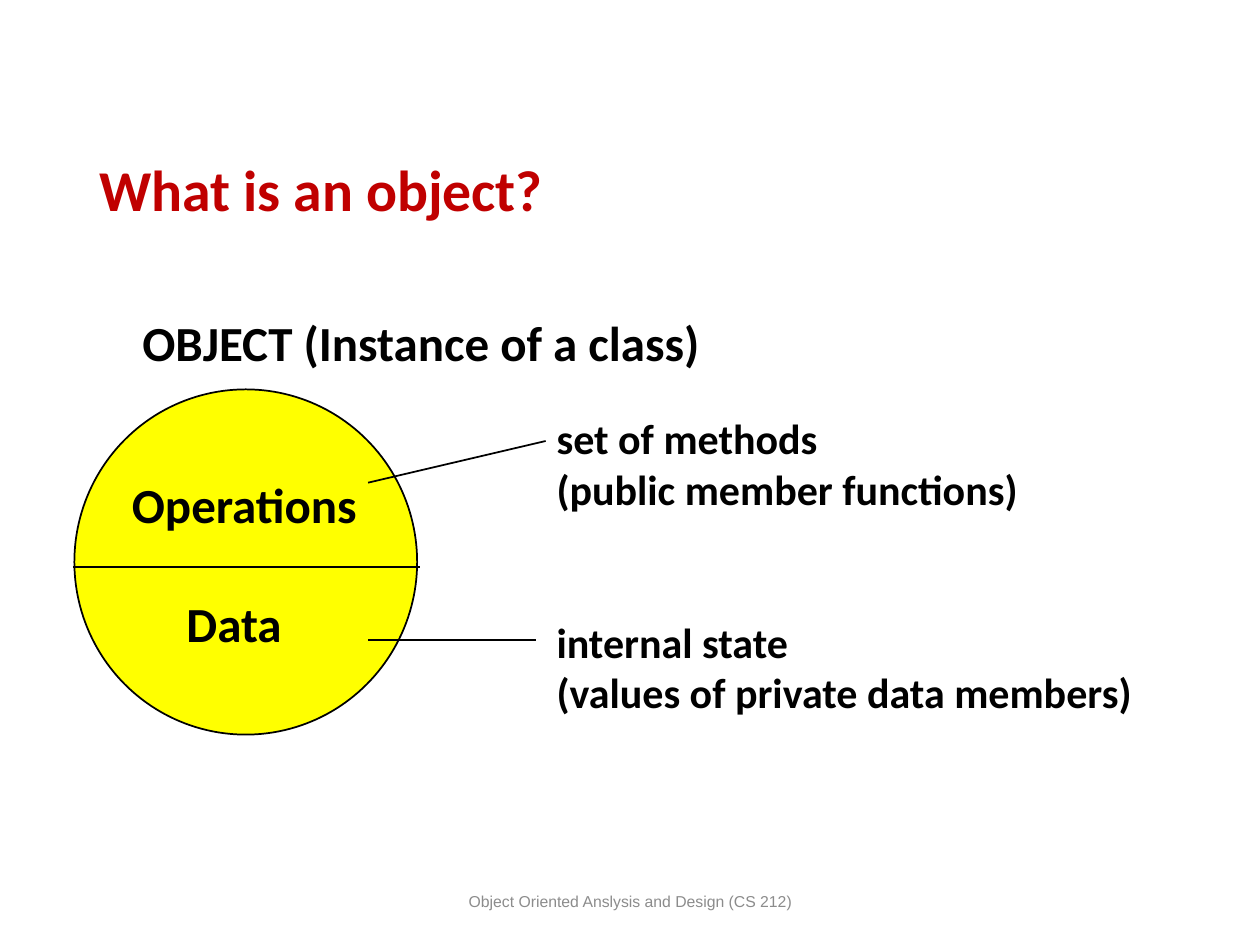
import pptx
import pptx.dml.color
import pptx.enum.shapes
import pptx.enum.text
import pptx.oxml.ns
import pptx.util
from lxml import etree
from pptx.util import Cm

Align = pptx.enum.text.PP_ALIGN
Anchor = pptx.enum.text.MSO_ANCHOR

BLACK = "000000"
RED = "C00000"
YELLOW = "FFFF00"
GREY = "8C8C8C"


def color(hex_text):
    return pptx.dml.color.RGBColor.from_string(hex_text)


class ObjectSlide:
    """Holds the style and the current slide; draws each kind of element."""

    font = "Calibri"
    line_width = 1

    def __init__(self, deck):
        self.slide = deck.slides.add_slide(deck.slide_layouts[6])

    def outline(self, shape):
        shape.line.color.rgb = color(BLACK)
        shape.line.width = pptx.util.Pt(self.line_width)

    def text(self, left, top, width, height, lines, size, ink=BLACK, bold=True,
             font=None, align=Align.LEFT, anchor=Anchor.TOP, spacing=None):
        """Each line is (words, space before in points, left indent in cm)."""
        box = self.slide.shapes.add_textbox(Cm(left), Cm(top), Cm(width), Cm(height))
        frame = box.text_frame
        frame.word_wrap = True
        frame.vertical_anchor = anchor
        for index, (words, gap, indent) in enumerate(lines):
            para = frame.add_paragraph() if index else frame.paragraphs[0]
            para.alignment = align
            para.line_spacing = spacing
            if gap:
                para.space_before = pptx.util.Pt(gap)
            if indent:
                para._p.get_or_add_pPr().set("marL", str(Cm(indent)))
            span = para.add_run()
            span.text = words
            span.font.name = font or self.font
            span.font.size = pptx.util.Pt(size)
            span.font.bold = bold
            span.font.color.rgb = color(ink)

    def ellipse(self, left, top, width, height, fill):
        shape = self.slide.shapes.add_shape(
            pptx.enum.shapes.MSO_SHAPE.OVAL, Cm(left), Cm(top), Cm(width), Cm(height))
        shape.shadow.inherit = False
        shape.fill.solid()
        shape.fill.fore_color.rgb = color(fill)
        self.outline(shape)

    def line(self, x1, y1, x2, y2):
        connector = self.slide.shapes.add_connector(
            pptx.enum.shapes.MSO_CONNECTOR.STRAIGHT, Cm(x1), Cm(y1), Cm(x2), Cm(y2))
        self.outline(connector)
        etree.SubElement(connector._element.spPr, pptx.oxml.ns.qn("a:effectLst"))


def main():
    deck = pptx.Presentation()
    deck.slide_width, deck.slide_height = Cm(25.4), Cm(19.05)
    page = ObjectSlide(deck)

    # Title and heading
    page.text(1.75, 1.02, 21.9, 3.62, [("What is an object?", 0, 0)], 33,
              ink=RED, anchor=Anchor.BOTTOM, spacing=0.9)
    page.text(2.62, 6.17, 12.42, 1.45, [("OBJECT (Instance of a class)", 0, 0)], 28)

    # Object circle with its two halves
    page.ellipse(1.5, 7.85, 6.91, 6.96, YELLOW)
    page.text(2.41, 9.45, 5.28, 3.86, [("Operations", 0, 0), ("Data", 34.2, 1.1)], 28)

    # Explanations, with a leader line to each half
    page.line(7.42, 9.73, 11, 8.89)
    page.text(10.97, 8.2, 12.67, 6.43, [
        ("set of methods", 0, 0),
        ("(public member functions)", 0, 0),
        ("internal state", 58.6, 0),
        ("(values of private data members)", 0, 0),
    ], 24)
    page.line(7.42, 12.9, 10.8, 12.9)

    # Divider between the halves
    page.line(1.47, 11.43, 8.46, 11.43)

    # Footer
    page.text(8.41, 17.65, 8.59, 1.02,
              [("Object Oriented Anslysis and Design (CS 212)", 0, 0)], 9, ink=GREY,
              bold=False, font="Arial", align=Align.CENTER, anchor=Anchor.MIDDLE)

    deck.save("out.pptx")


if __name__ == "__main__":
    main()
